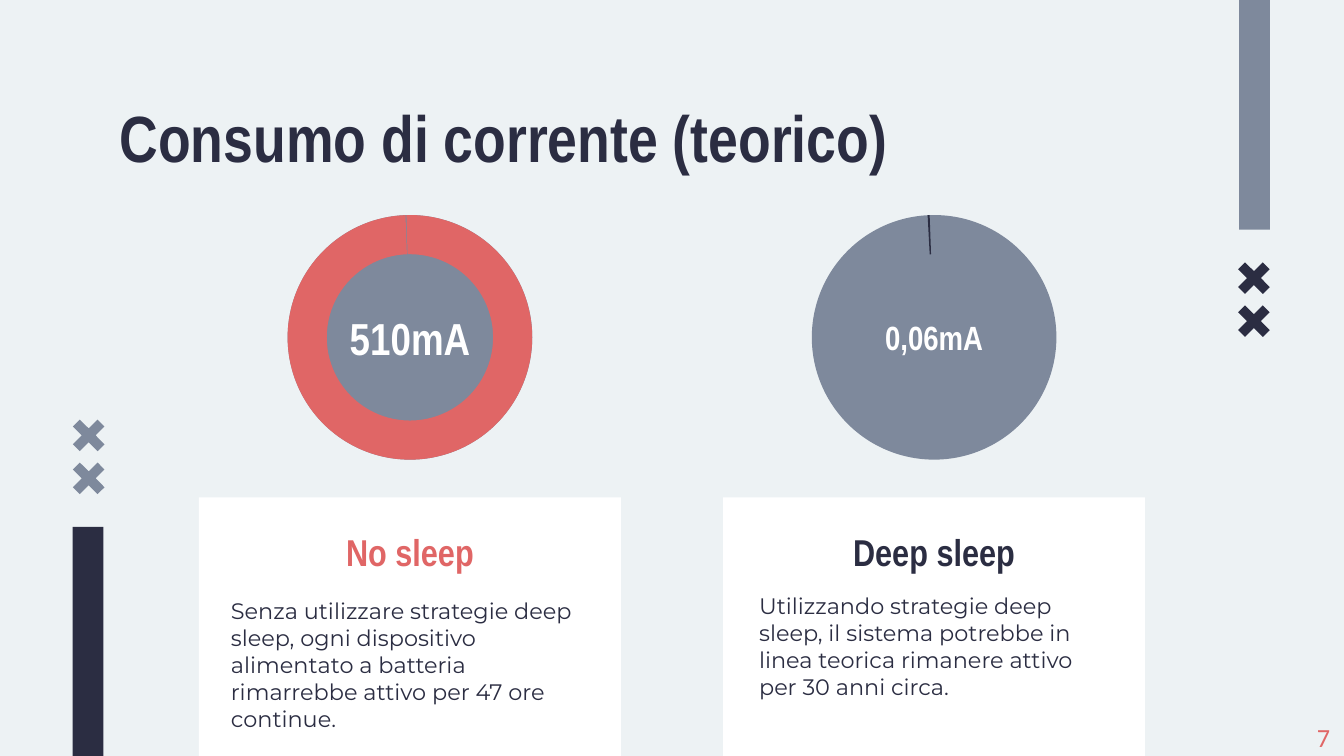
"""Build the slide comparing theoretical current draw with and without deep sleep."""
from pptx import Presentation
from pptx.dml.color import RGBColor
from pptx.enum.shapes import MSO_SHAPE
from pptx.enum.text import MSO_ANCHOR, MSO_AUTO_SIZE, PP_ALIGN
from pptx.util import Inches, Pt

NAVY = RGBColor(0x2B, 0x2D, 0x42)
GREY = RGBColor(0x7E, 0x89, 0x9C)
CORAL = RGBColor(0xE0, 0x66, 0x66)
WHITE = RGBColor(0xFF, 0xFF, 0xFF)
PALE = RGBColor(0xED, 0xF2, 0xF4)

HEADING = {"name": "Arial Narrow", "bold": True}
BODY = {"name": "Montserrat", "bold": False, "size": Pt(12)}
NUMBER = {"name": "Calibri", "bold": False, "size": Pt(14)}

TITLE = "Consumo di corrente (teorico)"
PAGE = "7"
MODES = [
    {
        "name": "Deep sleep", "current": "0,06mA", "current_size": 18,
        "accent": NAVY, "arc_start": 356.98, "center": 6.95,
        "text": "Utilizzando strategie deep sleep, il sistema potrebbe in "
                "linea teorica rimanere attivo per 30 anni circa.",
        "text_box": (5.55, 4.41, 2.8, 0.8),
    },
    {
        "name": "No sleep", "current": "510mA", "current_size": 24,
        "accent": CORAL, "arc_start": 358.37, "center": 3.05,
        "text": "Senza utilizzare strategie deep sleep, ogni dispositivo "
                "alimentato a batteria rimarrebbe attivo per 47 ore continue.",
        "text_box": (1.62, 4.41, 2.85, 1.07),
    },
]
BARS = [(0.54, 3.92, NAVY), (9.22, 0, GREY)]
CROSSES = [(0.53, 3.11, GREY), (9.2, 1.94, NAVY)]

BAR_WIDTH, BAR_HEIGHT = 0.23, 1.71
CROSS_SIZE, CROSS_STEP = 0.26, 0.32
CARD_TOP, CARD_WIDTH, CARD_HEIGHT = 3.7, 3.14, 2.01
RING_TOP, RING_SIZE = 1.6, 1.82
NAME_TOP, NAME_WIDTH, NAME_HEIGHT = 3.9, 1.49, 0.41
ARC_END, ARC_THICKNESS = 357.92, 0.16
ADJUST_PER_DEGREE = 0.6


def add_figure(slide, kind, box, color):
    figure = slide.shapes.add_shape(kind, *map(Inches, box))
    figure.shadow.inherit = False
    figure.fill.solid()
    figure.fill.fore_color.rgb = color
    figure.line.fill.background()
    return figure


def write(holder, text, color, font, align=PP_ALIGN.LEFT,
          anchor=MSO_ANCHOR.MIDDLE, wrap=True, inset=0.1,
          fit=MSO_AUTO_SIZE.NONE):
    frame = holder.text_frame
    frame.text = text
    layout = {
        "word_wrap": wrap, "auto_size": fit, "vertical_anchor": anchor,
        "margin_left": Inches(0.1), "margin_right": Inches(0.1),
        "margin_top": Inches(inset), "margin_bottom": Inches(inset),
    }
    for key, value in layout.items():
        setattr(frame, key, value)
    paragraph = frame.paragraphs[0]
    paragraph.alignment = align
    run_font = paragraph.runs[0].font
    for key, value in font.items():
        setattr(run_font, key, value)
    run_font.color.rgb = color


def add_text(slide, box, *args, **kwargs):
    write(slide.shapes.add_textbox(*map(Inches, box)), *args, **kwargs)


def add_decorations(slide):
    for left, top, color in BARS:
        add_figure(slide, MSO_SHAPE.RECTANGLE,
                   (left, top, BAR_WIDTH, BAR_HEIGHT), color)
    for left, top, color in CROSSES:
        for step in range(2):
            cross = add_figure(
                slide, MSO_SHAPE.CROSS,
                (left, top + step * CROSS_STEP, CROSS_SIZE, CROSS_SIZE), color)
            cross.rotation = 45
            cross.adjustments[0] = 0.36


def add_mode(slide, mode):
    center, accent = mode["center"], mode["accent"]
    add_figure(slide, MSO_SHAPE.RECTANGLE,
               (center - CARD_WIDTH / 2, CARD_TOP, CARD_WIDTH, CARD_HEIGHT), WHITE)
    ring_box = (center - RING_SIZE / 2, RING_TOP, RING_SIZE, RING_SIZE)
    disc = add_figure(slide, MSO_SHAPE.OVAL, ring_box, GREY)
    write(disc, mode["current"], WHITE,
          {**HEADING, "size": Pt(mode["current_size"])}, PP_ALIGN.CENTER)
    arc = add_figure(slide, MSO_SHAPE.BLOCK_ARC, ring_box, accent)
    arc.rotation = 270
    arc.adjustments[0] = mode["arc_start"] * ADJUST_PER_DEGREE
    arc.adjustments[1] = ARC_END * ADJUST_PER_DEGREE
    arc.adjustments[2] = ARC_THICKNESS
    add_text(slide, (center - NAME_WIDTH / 2, NAME_TOP, NAME_WIDTH, NAME_HEIGHT),
             mode["name"], accent, {**HEADING, "size": Pt(20)}, PP_ALIGN.CENTER)
    add_text(slide, mode["text_box"], mode["text"], NAVY, BODY)


def main():
    deck = Presentation()
    deck.slide_width = Inches(10)
    deck.slide_height = deck.slide_width * 9 // 16
    slide = deck.slides.add_slide(deck.slide_layouts[5])
    slide.background.fill.solid()
    slide.background.fill.fore_color.rgb = PALE

    title = slide.shapes.title
    place = zip(("left", "top", "width", "height"), (0.79, 0.62, 6.33, 0.62))
    for key, value in place:
        setattr(title, key, Inches(value))
    write(title, TITLE, NAVY, {**HEADING, "size": Pt(35)}, anchor=MSO_ANCHOR.TOP)

    add_decorations(slide)
    for mode in MODES:
        add_mode(slide, mode)
    add_text(slide, (9.7, 5.32, 0.3, 0.34), PAGE, CORAL, NUMBER,
             anchor=MSO_ANCHOR.TOP, wrap=False, inset=0.05,
             fit=MSO_AUTO_SIZE.SHAPE_TO_FIT_TEXT)
    deck.save("out.pptx")


if __name__ == "__main__":
    main()
